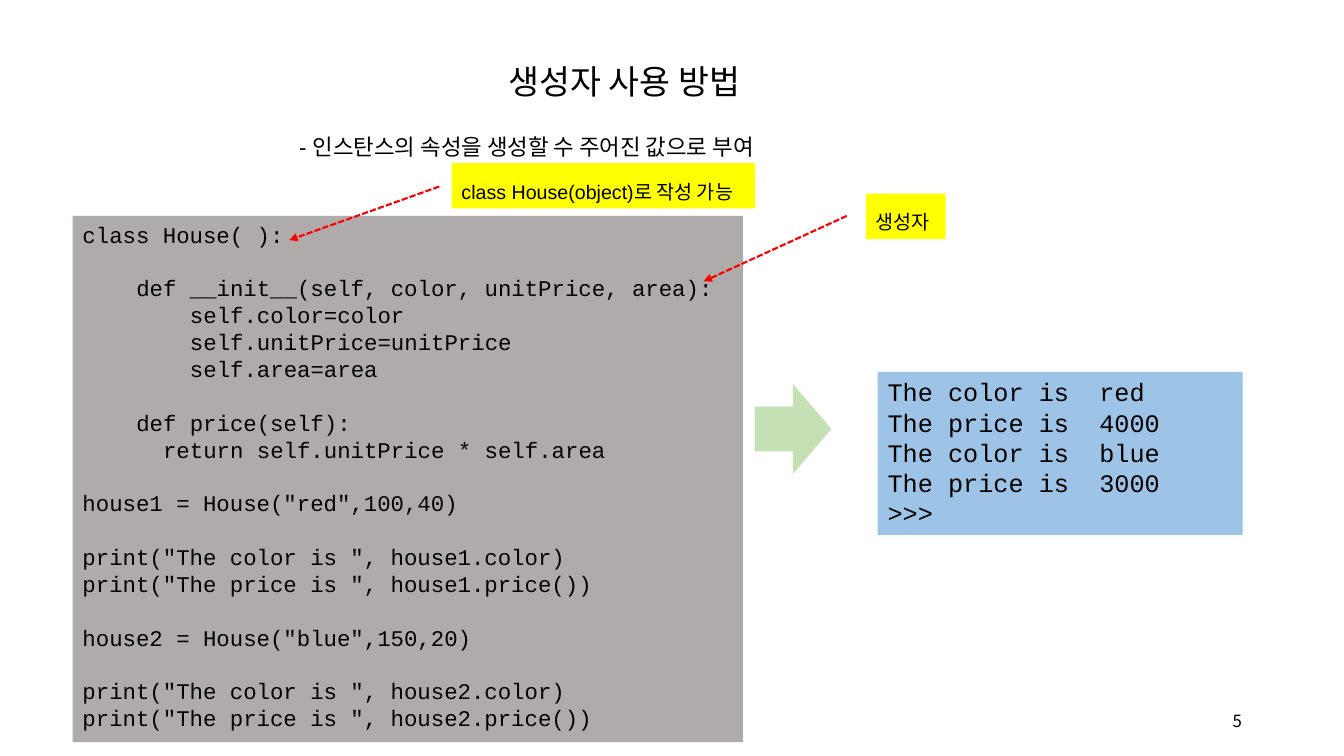
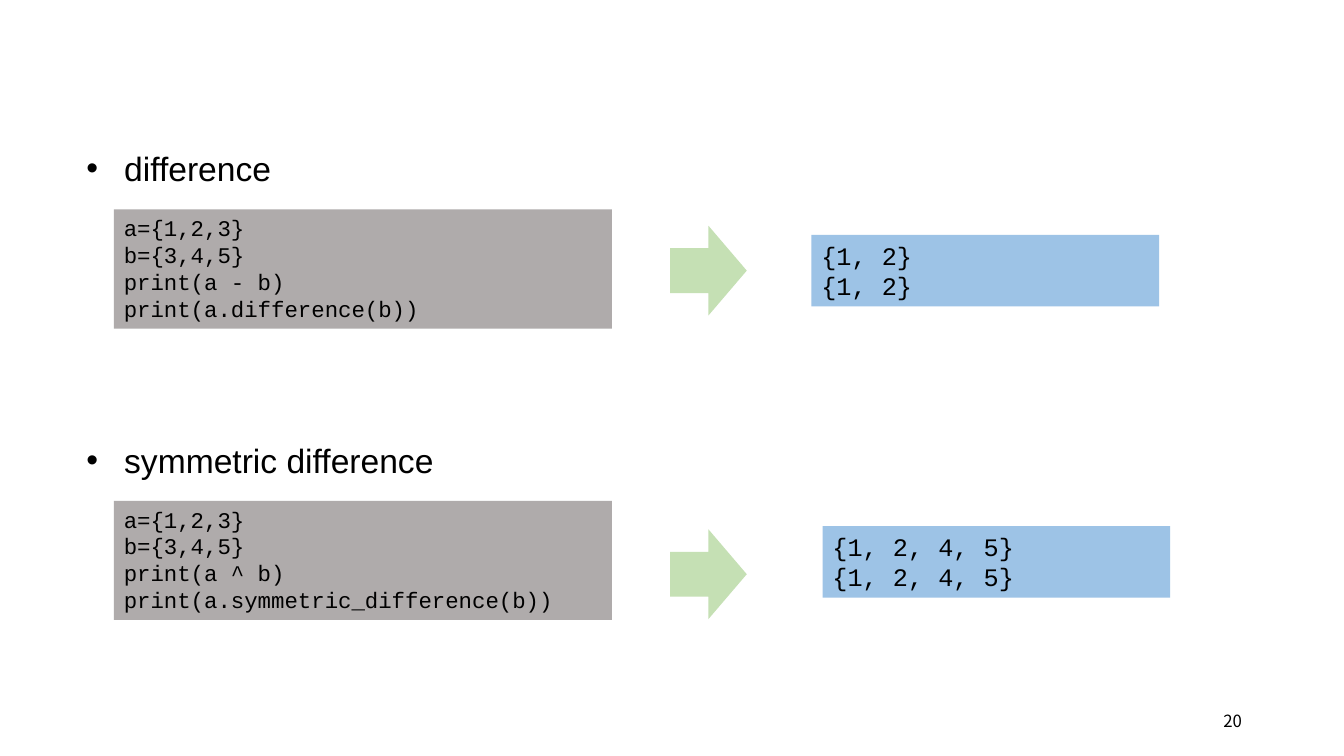
from dataclasses import dataclass

from lxml import etree
from pptx import Presentation
from pptx.dml.color import RGBColor
from pptx.enum.dml import MSO_LINE
from pptx.enum.shapes import MSO_CONNECTOR, MSO_SHAPE
from pptx.enum.text import MSO_ANCHOR, PP_ALIGN
from pptx.oxml.ns import qn
from pptx.util import Cm, Pt

RECT = MSO_SHAPE.RECTANGLE
ARROW = MSO_SHAPE.RIGHT_ARROW
STRAIGHT = MSO_CONNECTOR.STRAIGHT
DASH = MSO_LINE.SQUARE_DOT
TOP, MIDDLE = MSO_ANCHOR.TOP, MSO_ANCHOR.MIDDLE
LEFT, RIGHT = PP_ALIGN.LEFT, PP_ALIGN.RIGHT


@dataclass(frozen=True)
class Theme:
    ink: str = "000000"
    code: str = "AFABAB"
    result: str = "9DC3E6"
    arrow: str = "C5E0B4"
    note: str = "FFFF00"
    line: str = "FF0000"
    sans: str = "Arial"
    mono: str = "Courier New"
    page: str = "Noto Sans CJK KR"
    head_size: int = 24
    sub_size: int = 16
    note_size: int = 14
    code_size: int = 16
    result_size: int = 18
    page_size: int = 12
    loose: float = 1.5  # line spacing of headings and notes
    lead: float = 1.2  # line height of code, in type sizes
    glyph: float = 0.6  # letter width of code, in type sizes


THEME = Theme()

HOUSE = '''class House( ):

    def __init__(self, color, unitPrice, area):
        self.color=color
        self.unitPrice=unitPrice
        self.area=area

    def price(self):
      return self.unitPrice * self.area

house1 = House("red",100,40)

print("The color is ", house1.color)
print("The price is ", house1.price())

house2 = House("blue",150,20)

print("The color is ", house2.color)
print("The price is ", house2.price())'''

HOUSE_OUT = '''The color is  red
The price is  4000
The color is  blue
The price is  3000
>>>'''

SETS = [
    ("difference", "-", "{1, 2}", 5.33, 20.45, 5.69),
    ("symmetric difference", "^", "{1, 2, 4, 5}", 9.63, 20.73, 13.34),
]
SET_STEP = 7.34


def add_run(para, text, font, size):
    run = para.add_run()
    run.text = text
    run.font.name = font
    run.font.size = Pt(size)
    run.font.color.rgb = RGBColor.from_string(THEME.ink)


def add_panel(slide, box, fill, kind=RECT):
    panel = slide.shapes.add_shape(kind, *map(Cm, box))
    panel.shadow.inherit = False
    panel.fill.solid()
    panel.fill.fore_color.rgb = RGBColor.from_string(fill)
    panel.line.fill.background()
    return panel


def set_frame(shape, anchor=TOP):
    frame = shape.text_frame
    frame.word_wrap = True
    frame.vertical_anchor = anchor
    return frame


def add_code(slide, box, text, fill, size):
    """Turn leading spaces into indents and empty lines into space before."""
    frame = set_frame(add_panel(slide, box, fill))
    lead = Pt(THEME.lead * size)
    para, gap = frame.paragraphs[0], 0
    for row, line in enumerate(text.splitlines()):
        body = line.lstrip()
        if not body:
            gap += lead
            continue
        if row:
            para = frame.add_paragraph()
        para.alignment = LEFT
        para.line_spacing = lead
        para.space_before = gap
        depth = len(line) - len(body)
        indent = Pt(depth * THEME.glyph * size)
        para._p.get_or_add_pPr().set("marL", str(indent))
        add_run(para, body, THEME.mono, size)
        gap = 0


def add_loose(shape, text, size):
    para = set_frame(shape).paragraphs[0]
    para.alignment = LEFT
    para.line_spacing = THEME.loose
    add_run(para, text, THEME.sans, size)
    return para


def add_head(slide, box, text, size):
    return add_loose(slide.shapes.add_textbox(*map(Cm, box)), text, size)


def add_bullet(slide, box, text):
    props = add_head(slide, box, text, THEME.head_size)._p.get_or_add_pPr()
    hang = Cm(0.95)
    props.set("marL", str(hang))
    props.set("indent", str(-hang))
    etree.SubElement(props, qn("a:buFont")).set("typeface", THEME.sans)
    etree.SubElement(props, qn("a:buChar")).set("char", "•")


def add_note(slide, box, text):
    add_loose(add_panel(slide, box, THEME.note), text, THEME.note_size)


def add_arrow(slide, left, top):
    add_panel(slide, (left, top, 1.93, 2.26), THEME.arrow, ARROW)


def add_pointer(slide, *ends):
    link = slide.shapes.add_connector(STRAIGHT, *map(Cm, ends))
    link.line.color.rgb = RGBColor.from_string(THEME.line)
    link.line.width = Pt(1.5)
    link.line.dash_style = DASH
    tail = etree.SubElement(link.line._get_or_add_ln(), qn("a:tailEnd"))
    tail.set("type", "triangle")
    etree.SubElement(link._element.spPr, qn("a:effectLst"))


def add_slide(deck, number):
    slide = deck.slides.add_slide(deck.slide_layouts[6])
    box = slide.shapes.add_textbox(Cm(30.15), Cm(17.65), Cm(1.4), Cm(1.02))
    para = set_frame(box, MIDDLE).paragraphs[0]
    para.alignment = RIGHT
    add_run(para, str(number), THEME.page, THEME.page_size)
    return slide


def build_house(deck):
    slide = add_slide(deck, 5)
    add_code(slide, (22.12, 9.37, 9.2, 4.11), HOUSE_OUT,
             THEME.result, THEME.result_size)
    add_arrow(slide, 19.02, 9.68)
    add_code(slide, (1.83, 5.44, 16.89, 13.26), HOUSE,
             THEME.code, THEME.code_size)
    add_note(slide, (21.82, 4.88, 2.01, 1.14), "생성자")
    add_pointer(slide, 21.34, 5.44, 17.73, 7.09)
    add_head(slide, (12.57, 0.89, 6.96, 1.8), "생성자 사용 방법",
             THEME.head_size)
    add_head(slide, (7.29, 2.9, 13.39, 1.27),
             "- 인스탄스의 속성을 생성할 수 주어진 값으로 부여", THEME.sub_size)
    add_note(slide, (11.38, 4.11, 7.65, 1.14), "class House(object)로 작성 가능")
    add_pointer(slide, 11.07, 4.7, 7.29, 6.05)


def build_sets(deck):
    slide = add_slide(deck, 20)
    for row, (name, sign, value, width, left, top) in enumerate(SETS):
        drop = row * SET_STEP
        method = name.replace(" ", "_")
        code = f"a={{1,2,3}}\nb={{3,4,5}}\nprint(a {sign} b)\nprint(a.{method}(b))"
        add_code(slide, (left, 5.92 + drop, 8.76, 1.8), f"{value}\n{value}",
                 THEME.result, THEME.result_size)
        add_arrow(slide, 16.89, top)
        add_code(slide, (2.87, 5.28 + drop, 12.55, 3), code,
                 THEME.code, THEME.code_size)
        add_bullet(slide, (1.93, 3.1 + drop, width, 1.6), name)


def main():
    deck = Presentation()
    deck.slide_width = Cm(33.87)
    deck.slide_height = Cm(19.05)
    build_house(deck)
    build_sets(deck)
    deck.save("out.pptx")


if __name__ == "__main__":
    main()
